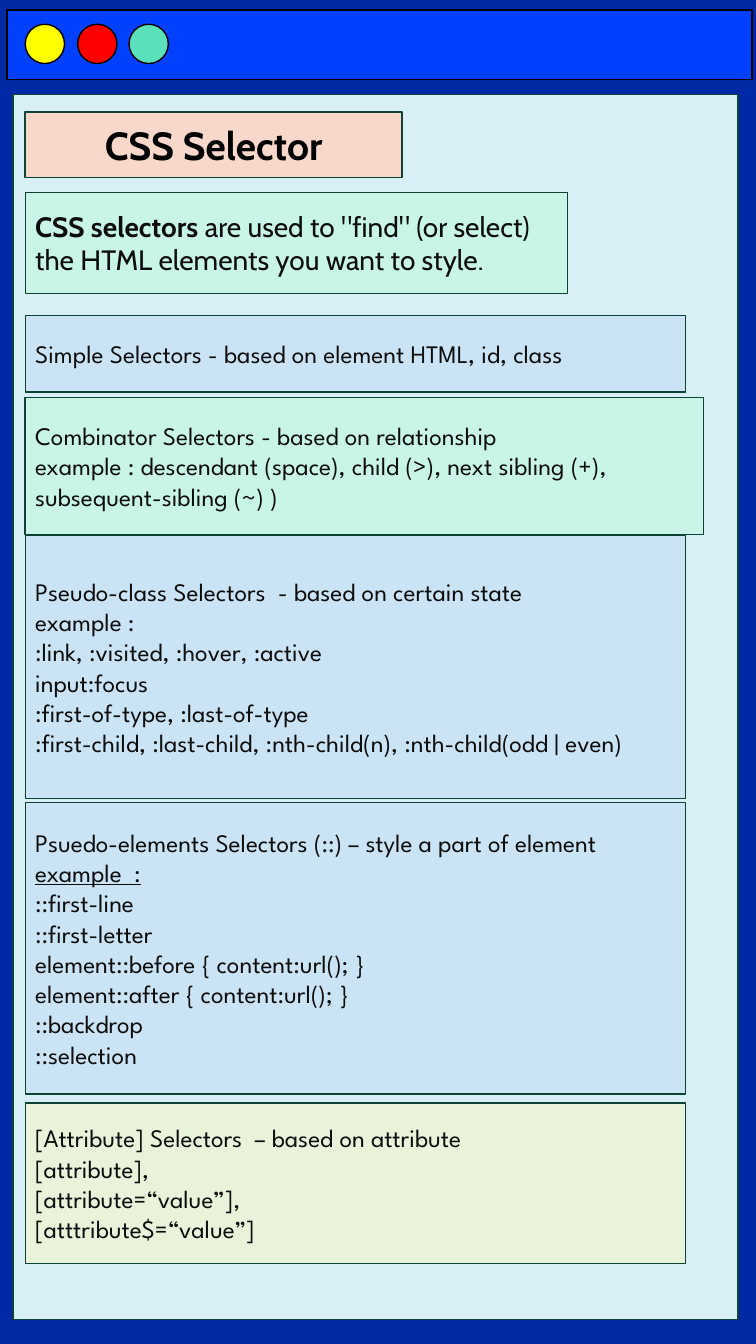
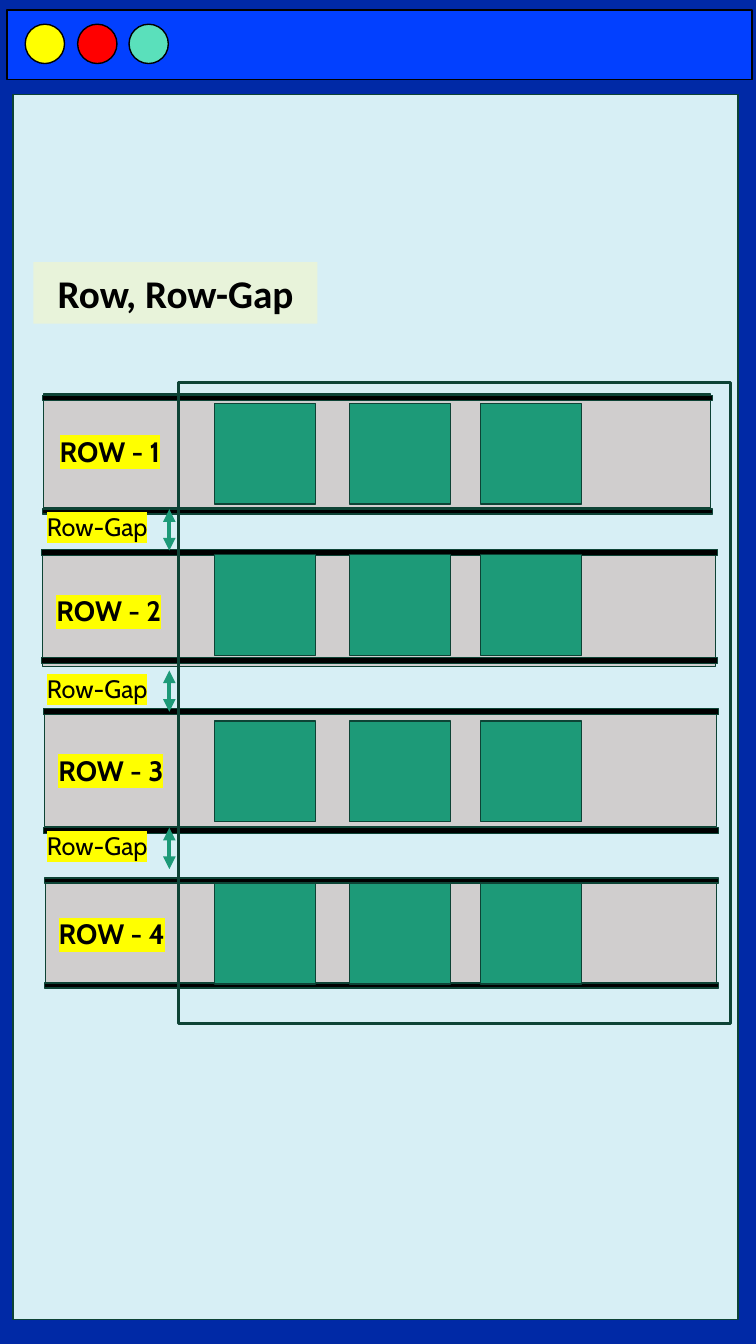
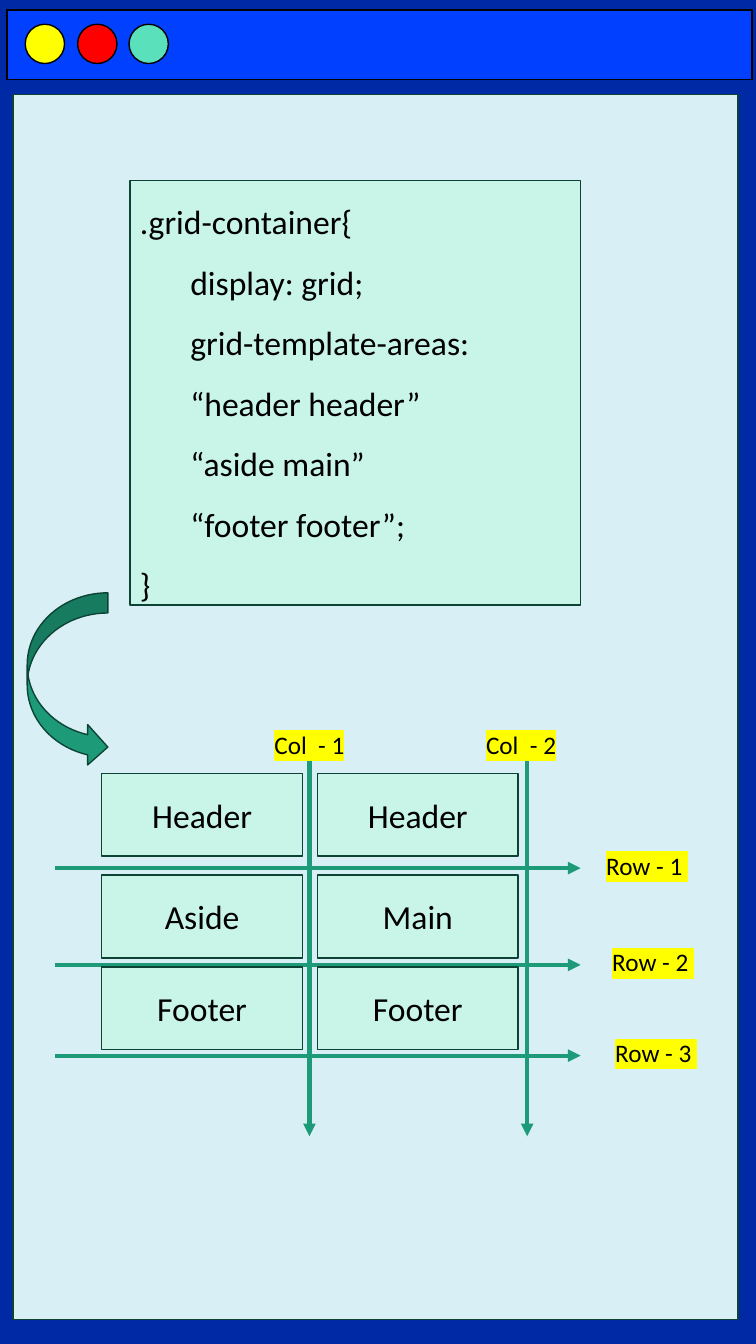
from dataclasses import dataclass

from lxml.etree import SubElement
from pptx import Presentation
from pptx.dml.color import RGBColor
from pptx.enum.shapes import MSO_CONNECTOR as Connector
from pptx.enum.shapes import MSO_SHAPE as Preset
from pptx.enum.text import MSO_ANCHOR as Anchor
from pptx.enum.text import PP_ALIGN as Align
from pptx.oxml.ns import qn
from pptx.util import Emu, Pt

EMU_PER_PX = 9144


@dataclass(frozen=True)
class Theme:
    """Colours, fonts and type sizes of the deck."""

    desk: str = "0029A6"
    title_bar: str = "0240FF"
    page: str = "D7EFF5"
    outline: str = "0D4335"
    black: str = "000000"
    ink: str = "0D0D0D"
    yellow: str = "FFFF00"
    red: str = "FF0000"
    aqua: str = "5AE0BB"
    mint: str = "C8F5E8"
    sky: str = "CAE4F6"
    lime: str = "E8F3DA"
    peach: str = "F8D8CA"
    grey: str = "D0CECE"
    green: str = "1D9A78"
    cabin: str = "Cabin"
    calibri: str = "Calibri"
    spartan: str = "League Spartan"
    title_size: int = 28
    code_size: int = 24
    lead_size: int = 20
    body_size: int = 18
    thin: float = 1
    frame: float = 2.25
    arrow: float = 3


THEME = Theme()

SELECTOR_PANELS = [
    ((25, 313, 655, 76), THEME.sky, ["Simple Selectors - based on element HTML, id, class"]),
    ((25, 394, 673, 136), THEME.mint, [
        "Combinator Selectors - based on relationship",
        "example : descendant (space), child (>), next sibling (+), subsequent-sibling (~) )",
    ]),
    ((25, 531, 655, 261), THEME.sky, [
        "Pseudo-class Selectors  - based on certain state",
        "example :",
        ":link, :visited, :hover, :active",
        "input:focus",
        ":first-of-type, :last-of-type",
        ":first-child, :last-child, :nth-child(n), :nth-child(odd | even)",
    ]),
    ((25, 796, 655, 289), THEME.sky, [
        "Psuedo-elements Selectors (::) – style a part of element",
        "example  :",
        "::first-line",
        "::first-letter",
        "element::before { content:url(); }",
        "element::after { content:url(); }",
        "::backdrop",
        "::selection",
    ]),
    ((25, 1094, 655, 159), THEME.lime, [
        "[Attribute] Selectors  – based on attribute",
        "[attribute],",
        "[attribute=“value”],",
        "[atttribute$=“value”]",
    ]),
]
UNDERLINED = "example  :"

GRID_CODE = [
    ".grid-container{",
    "display: grid;",
    "grid-template-areas:",
    "“header header”",
    "“aside main”",
    "“footer footer”;",
    "}",
]


def px(length):
    """Turn px into EMU."""
    return Emu(length * EMU_PER_PX)


def rgb(colour):
    """Turn a hex string into a colour."""
    return RGBColor.from_string(colour)


def add_box(slide, box, fill=None, line=THEME.outline, width=THEME.thin, preset=Preset.RECTANGLE):
    """Add a preset shape with an optional fill and outline."""
    shape = slide.shapes.add_shape(preset, *map(px, box))
    shape.shadow.inherit = False
    if fill:
        shape.fill.solid()
        shape.fill.fore_color.rgb = rgb(fill)
    else:
        shape.fill.background()
    if line:
        shape.line.color.rgb = rgb(line)
        shape.line.width = Pt(width)
    else:
        shape.line.fill.background()
    return shape


def write(shape, lines, font, size, colour=THEME.black, bold=False, align=Align.LEFT):
    """Write one paragraph per line, centred vertically, and return the paragraphs."""
    frame = shape.text_frame
    frame.word_wrap = True
    frame.vertical_anchor = Anchor.MIDDLE
    frame.text = "\n".join(lines)
    for paragraph in frame.paragraphs:
        paragraph.alignment = align
        paragraph.font.name = font
        paragraph.font.size = Pt(size)
        paragraph.font.bold = bold
        paragraph.font.color.rgb = rgb(colour)
    return frame.paragraphs


def add_label(slide, box, text, font, size, bold=False):
    """Add a centred label with a yellow highlight."""
    label = slide.shapes.add_textbox(*map(px, box))
    label.text_frame.margin_left = label.text_frame.margin_right = 0
    paragraph = write(label, [text], font, size, bold=bold, align=Align.CENTER)[0]
    properties = paragraph.runs[0].font._element
    highlight = SubElement(properties, qn("a:highlight"))
    SubElement(highlight, qn("a:srgbClr"), val=THEME.yellow)


def add_arrow(slide, start, end, ends=("tailEnd",)):
    """Add a straight green arrow with a triangle at each named end."""
    arrow = slide.shapes.add_connector(Connector.STRAIGHT, *map(px, start + end))
    arrow.line.color.rgb = rgb(THEME.green)
    arrow.line.width = Pt(THEME.arrow)
    properties = arrow._element.spPr
    line = properties.find(qn("a:ln"))
    for name in ends:
        SubElement(line, qn(f"a:{name}"), type="triangle")
    SubElement(properties, qn("a:effectLst"))


def add_window(presentation):
    """Add a slide with the window bar, its buttons and the page."""
    slide = presentation.slides.add_slide(presentation.slide_layouts[6])
    add_box(slide, (7, 10, 739, 69), THEME.title_bar, THEME.black)
    for left, colour in zip((25, 77, 128), (THEME.yellow, THEME.red, THEME.aqua)):
        add_box(slide, (left, 24, 39, 39), colour, THEME.black, preset=Preset.OVAL)
    add_box(slide, (13, 94, 719, 1215), THEME.page)
    return slide


def build_selectors(slide):
    """Fill the slide on CSS selectors."""
    title = add_box(slide, (25, 111, 374, 65), THEME.peach)
    write(title, ["CSS Selector"], THEME.cabin, THEME.title_size, bold=True, align=Align.CENTER)
    intro = add_box(slide, (25, 191, 538, 100), THEME.mint)
    paragraph = write(intro, ["CSS selectors "], THEME.cabin, THEME.lead_size, THEME.ink)[0]
    paragraph.runs[0].font.bold = True
    paragraph.add_run().text = 'are used to "find" (or select) the HTML elements you want to style.'
    for box, fill, lines in SELECTOR_PANELS:
        panel = add_box(slide, box, fill)
        for paragraph in write(panel, lines, THEME.spartan, THEME.body_size, THEME.ink):
            paragraph.font.underline = paragraph.text == UNDERLINED


def add_row(slide, number, box, bar_tops, bar_height):
    """Add a grey grid row with its label and its two black bars."""
    left, top, width, height = box
    add_box(slide, box, THEME.grey)
    add_label(slide, (left + 1, top, 130, height), f"ROW - {number}",
              THEME.cabin, THEME.lead_size, bold=True)
    for bar_top in bar_tops:
        add_box(slide, (left - 1, bar_top, width + 3, bar_height), THEME.black)


def build_row_gap(slide):
    """Fill the slide on rows and row gaps."""
    title = add_box(slide, (33, 260, 282, 61), THEME.lime, line=None)
    write(title, ["Row, Row-Gap"], THEME.calibri, THEME.title_size, bold=True, align=Align.CENTER)
    rows = [
        ((43, 391, 662, 113), (392, 505), 5),
        ((42, 550, 668, 111), (545, 652), 6),
        ((44, 707, 667, 113), (703, 821), 6),
        ((45, 873, 666, 106), (871, 975), 5),
    ]
    for number, row in enumerate(rows, 1):
        add_row(slide, number, *row)
    add_box(slide, (177, 379, 548, 636), width=THEME.frame)
    for top in (400, 550, 715, 876):
        for left in (213, 347, 477):
            add_box(slide, (left, top, 100, 100), THEME.green)
    for top in (505, 665, 821):
        add_label(slide, (28, top - 19, 137, 73), "Row-Gap", THEME.cabin, THEME.body_size)
        add_arrow(slide, (168, top), (168, top + 41), ("headEnd", "tailEnd"))


def build_grid_areas(slide):
    """Fill the slide on grid template areas."""
    code = add_box(slide, (129, 179, 447, 421), THEME.mint)
    paragraphs = write(code, GRID_CODE, THEME.calibri, THEME.code_size)
    for paragraph in paragraphs:
        paragraph.line_spacing = 1.5
    for paragraph in paragraphs[1:-1]:
        paragraph._p.get_or_add_pPr().set("marL", str(px(50)))

    grid_rows = [
        (861, 767, 642, ("Header", "Header")),
        (957, 868, 648, ("Aside", "Main")),
        (1047, 959, 651, ("Footer", "Footer")),
    ]
    for number, (line_y, cell_top, label_x, names) in enumerate(grid_rows, 1):
        add_arrow(slide, (55, line_y), (576, line_y))
        add_label(slide, (label_x - 85, line_y - 35, 170, 64), f"Row - {number} ",
                  THEME.calibri, THEME.body_size)
        for left, name in zip((101, 315), names):
            cell = add_box(slide, (left, cell_top, 199, 82), THEME.mint)
            write(cell, [name], THEME.calibri, THEME.code_size, align=Align.CENTER)
    for number, (line_x, label_x) in enumerate(((307, 307), (523, 517)), 1):
        add_arrow(slide, (line_x, 730), (line_x, 1127))
        add_label(slide, (label_x - 75, 707, 150, 62), f"Col  - {number}",
                  THEME.calibri, THEME.body_size)
    add_box(slide, (27, 588, 80, 173), THEME.green, preset=Preset.CURVED_RIGHT_ARROW)


def main():
    """Build and save the deck."""
    presentation = Presentation()
    presentation.slide_width = px(750)
    presentation.slide_height = px(1333)
    background = presentation.slide_master.background.fill
    background.solid()
    background.fore_color.rgb = rgb(THEME.desk)
    for build in (build_selectors, build_row_gap, build_grid_areas):
        build(add_window(presentation))
    presentation.save("out.pptx")


if __name__ == "__main__":
    main()
